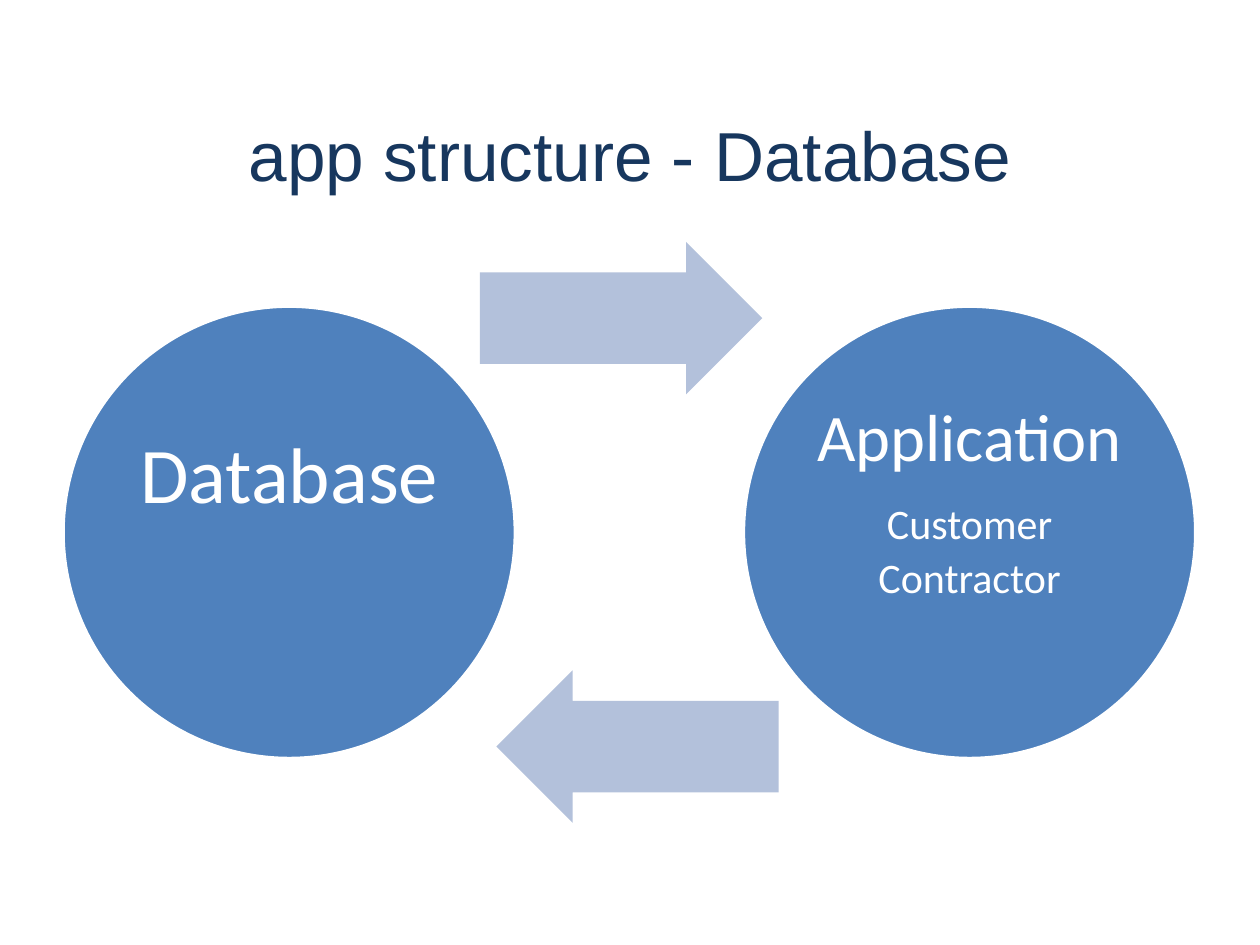
from pptx import Presentation
from pptx.dml.color import RGBColor
from pptx.enum.shapes import MSO_SHAPE as Shape
from pptx.enum.text import MSO_ANCHOR as Anchor, PP_ALIGN as Align
from pptx.util import Inches, Pt

COLORS = {"title": "17375E", "circle": "4F81BD", "arrow": "B3C1DB", "white": "FFFFFF"}
COLUMNS, ROWS = 100, 75


def color(name):
    """Return the named colour of the palette."""
    return RGBColor.from_string(COLORS[name])


def write(paragraph, text, size=24, font="Calibri", ink="white", before=0, spacing=1.0):
    """Write centred, formatted text into a paragraph."""
    paragraph.alignment = Align.CENTER
    paragraph.space_before = Pt(before)
    paragraph.line_spacing = spacing
    run = paragraph.add_run()
    run.text = text
    run.font.size, run.font.name = Pt(size), font
    run.font.color.rgb = color(ink)


class Diagram:
    """Draw on one slide, with lengths in cells of a 100 by 75 grid."""

    def __init__(self, presentation):
        self.slide = presentation.slides.add_slide(presentation.slide_layouts[6])
        self.column = presentation.slide_width / COLUMNS
        self.row = presentation.slide_height / ROWS

    def box(self, left, top, width, height):
        """Turn grid cells into slide lengths."""
        return (round(left * self.column), round(top * self.row),
                round(width * self.column), round(height * self.row))

    def title(self, text, *cells):
        """Add the slide title, resting on the bottom of its box."""
        frame = self.slide.shapes.add_textbox(*self.box(*cells)).text_frame
        frame.word_wrap = True
        frame.vertical_anchor = Anchor.BOTTOM
        frame.margin_bottom = 0
        write(frame.paragraphs[0], text, size=39.6, font="Arial", ink="title")

    def preset(self, kind, fill, *cells):
        """Add a flat preset shape without an outline."""
        shape = self.slide.shapes.add_shape(kind, *self.box(*cells))
        shape.shadow.inherit = False
        shape.fill.solid()
        shape.fill.fore_color.rgb = color(fill)
        shape.line.fill.background()
        return shape

    def circle(self, left, top, diameter, inset, lines):
        """Add a circle whose text starts the given rows below its text area's top."""
        shape = self.preset(Shape.OVAL, "circle", left, top, diameter, diameter)
        shape.line.color.rgb = color("white")
        shape.line.width = Pt(2)
        frame = shape.text_frame
        frame.word_wrap = True
        frame.vertical_anchor = Anchor.TOP
        frame.margin_left = frame.margin_right = frame.margin_bottom = Inches(0.05)
        frame.margin_top = round(inset * self.row)
        for index, (text, style) in enumerate(lines):
            paragraph = frame.add_paragraph() if index else frame.paragraphs[0]
            write(paragraph, text, **style)

    def arrow(self, left, top, rotation=0):
        """Add a block arrow that points right before rotation."""
        shape = self.preset(Shape.RIGHT_ARROW, "arrow", left, top, 22.4, 12.1)
        shape.adjustments[0], shape.adjustments[1] = 0.6, 0.5
        shape.rotation = rotation


def main():
    """Build and save the slide."""
    presentation = Presentation()
    presentation.slide_width, presentation.slide_height = Inches(10), Inches(7.5)
    diagram = Diagram(presentation)
    diagram.title("app structure - Database", 5, 3, 90, 12.5)
    diagram.circle(5, 24.3, 35.9, 5, [("Database", {"size": 45, "spacing": 0.9})])
    diagram.arrow(38.1, 19.2)
    diagram.circle(59, 24.3, 35.9, 1.8, [
        ("Application", {"size": 38}),
        ("Customer", {"before": 13}),
        ("Contractor", {"before": 2}),
    ])
    diagram.arrow(39.4, 53.2, rotation=180)
    presentation.save("out.pptx")


main()
